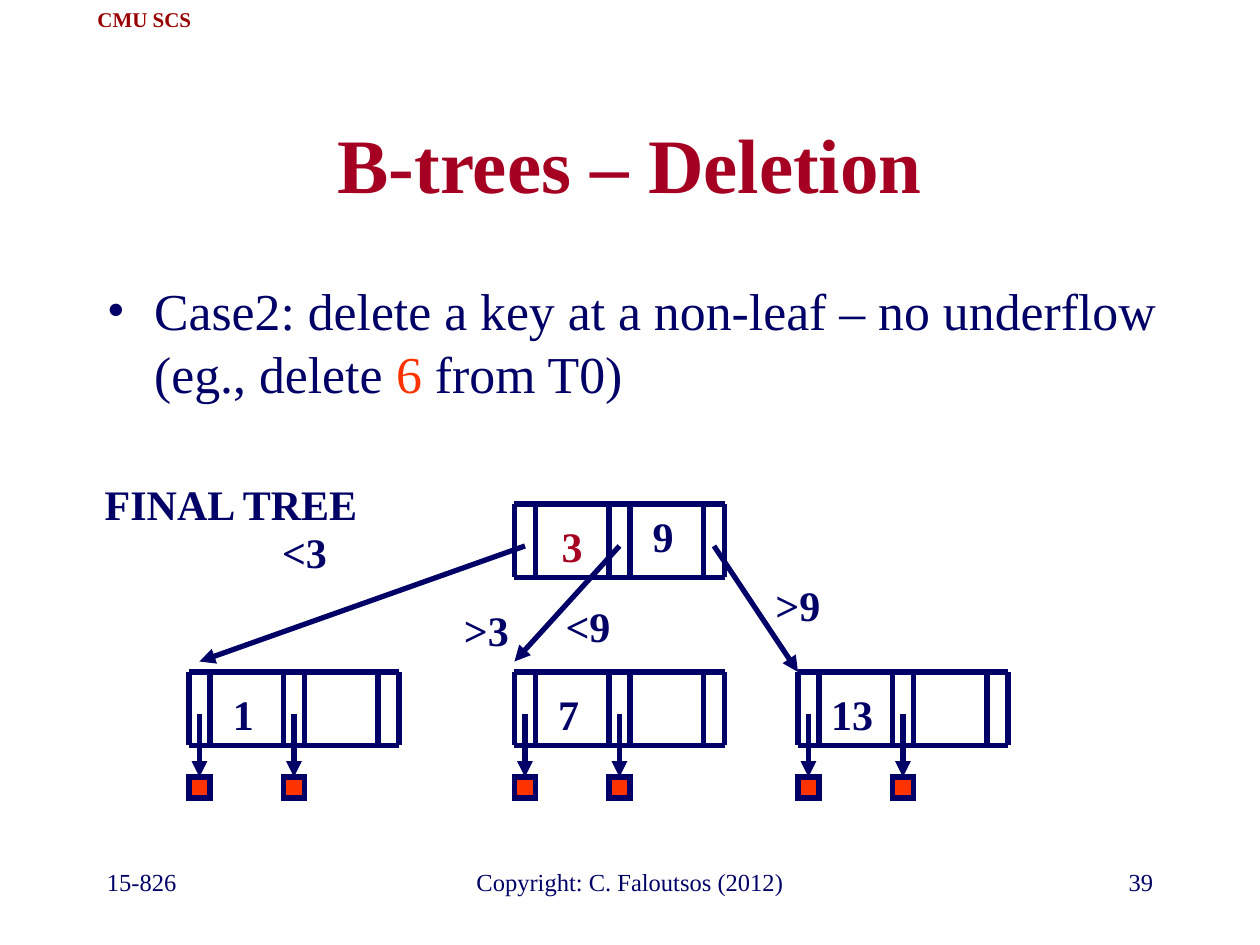
from typing import NamedTuple

from lxml.etree import SubElement
from pptx import Presentation
from pptx.dml.color import RGBColor
from pptx.enum.shapes import MSO_CONNECTOR, MSO_SHAPE
from pptx.enum.text import MSO_ANCHOR, MSO_AUTO_SIZE, PP_ALIGN
from pptx.oxml.ns import qn
from pptx.util import Pt

NAVY = RGBColor(0x00, 0x00, 0x66)
CRIMSON = RGBColor(0xA5, 0x00, 0x21)
MAROON = RGBColor(0x99, 0x00, 0x00)
ORANGE = RGBColor(0xFF, 0x33, 0x00)
FONT = "Times New Roman"

POINTER_W = 12
KEY_W = 42
PITCH = POINTER_W + KEY_W
NODE_W = 2 * PITCH + POINTER_W
NODE_H = 42
LINE_W = 3


class Label(NamedTuple):
    text: str
    left: float
    top: float
    width: float
    height: float = 36
    size: float = 24
    color: RGBColor = NAVY
    bold: bool = True
    align: PP_ALIGN = PP_ALIGN.CENTER
    anchor: MSO_ANCHOR = MSO_ANCHOR.TOP
    wrap: bool = False


class Node(NamedTuple):
    left: float
    top: float


class Branch(NamedTuple):
    x1: float
    y1: float
    x2: float
    y2: float


ROOT = Node(294, 288)
LEAVES = [Node(left, 384) for left in (108, 294, 456)]
BRANCHES = [
    Branch(300, 312, 114, 378),
    Branch(354, 312, 294, 378),
    Branch(408, 312, 456, 384),
]
TREE_LABELS = [
    Label("1", 125, 390, 28),
    Label("7", 311, 390, 28),
    Label("9", 365, 288, 28),
    Label("13", 466, 390, 42),
    Label("<3", 153, 297.5, 42),
    Label(">3", 257, 342, 42),
    Label("<9", 315, 339.5, 42),
    Label(">9", 435, 327.5, 42),
    Label("3", 312, 294, 30, color=CRIMSON),
    Label("FINAL TREE", 42, 270, 180, wrap=True),
]
PAGE_LABELS = [
    Label("CMU SCS", 47.5, 0, 70, 22, 12, MAROON, anchor=MSO_ANCHOR.MIDDLE),
    Label("15-826", 54, 492, 150, size=14, bold=False, align=PP_ALIGN.LEFT, wrap=True),
    Label("Copyright: C. Faloutsos (2012)", 246, 492, 228, size=14, bold=False, wrap=True),
    Label("39", 516, 492, 150, size=14, bold=False, align=PP_ALIGN.RIGHT, wrap=True),
]


def style_font(font, size: float, color: RGBColor, bold: bool) -> None:
    font.name = FONT
    font.size = Pt(size)
    font.bold = bold
    font.color.rgb = color


def fill_text(sp, label: Label) -> None:
    sp.left, sp.top = Pt(label.left), Pt(label.top)
    sp.width, sp.height = Pt(label.width), Pt(label.height)
    tf = sp.text_frame
    tf.text = label.text
    tf.word_wrap = label.wrap
    if not label.wrap:
        tf.auto_size = MSO_AUTO_SIZE.SHAPE_TO_FIT_TEXT
    tf.vertical_anchor = label.anchor
    p = tf.paragraphs[0]
    p.alignment = label.align
    style_font(p.runs[0].font, label.size, label.color, label.bold)


def add_label(shapes, label: Label) -> None:
    fill_text(shapes.add_textbox(0, 0, Pt(label.width), Pt(label.height)), label)


def add_line(shapes, x1: float, y1: float, x2: float, y2: float, arrow: bool = False) -> None:
    line = shapes.add_connector(MSO_CONNECTOR.STRAIGHT, Pt(x1), Pt(y1), Pt(x2), Pt(y2))
    line.line.color.rgb = NAVY
    line.line.width = Pt(LINE_W)
    if arrow:
        SubElement(line.line._get_or_add_ln(), qn("a:tailEnd"), type="triangle")
    SubElement(line._element.spPr, qn("a:effectLst"))


def add_node(shapes, node: Node) -> None:
    group = shapes.add_group_shape().shapes
    right, bottom = node.left + NODE_W, node.top + NODE_H
    for i in range(3):
        for x in (node.left + i * PITCH, node.left + i * PITCH + POINTER_W):
            add_line(group, x, node.top, x, bottom)
    for y in (node.top, bottom):
        add_line(group, node.left, y, right, y)


def add_records(shapes, node: Node) -> None:
    record_top = node.top + 60
    for left in (node.left, node.left + PITCH):
        x = left + POINTER_W / 2
        add_line(shapes, x, node.top + 24, x, record_top, arrow=True)
        sp = shapes.add_shape(
            MSO_SHAPE.RECTANGLE, Pt(left), Pt(record_top), Pt(POINTER_W), Pt(POINTER_W)
        )
        sp.shadow.inherit = False
        sp.fill.solid()
        sp.fill.fore_color.rgb = ORANGE
        sp.line.color.rgb = NAVY
        sp.line.width = Pt(LINE_W)
        SubElement(sp.line._get_or_add_ln(), qn("a:miter"), lim="800000")


def add_case(shapes) -> None:
    tf = shapes.add_textbox(Pt(54), Pt(156), Pt(618), Pt(84)).text_frame
    tf.word_wrap = True
    p = tf.paragraphs[0]
    pPr = p._p.get_or_add_pPr()
    pPr.set("marL", str(Pt(27)))
    pPr.set("indent", str(Pt(-27)))
    color = SubElement(pPr, qn("a:buClr"))
    SubElement(color, qn("a:srgbClr"), val=str(NAVY))
    SubElement(pPr, qn("a:buFont"), typeface=FONT)
    SubElement(pPr, qn("a:buChar"), char="•")
    for text, color in (
        ("Case2: delete a key at a non-leaf – no underflow (eg., delete ", NAVY),
        ("6", ORANGE),
        (" from T0)", NAVY),
    ):
        r = p.add_run()
        r.text = text
        style_font(r.font, 29.6, color, False)


def main() -> None:
    prs = Presentation()
    prs.slide_width, prs.slide_height = Pt(720), Pt(540)
    s = prs.slides.add_slide(prs.slide_layouts[5])
    shapes = s.shapes
    fill_text(
        shapes.title,
        Label("B-trees – Deletion", 54, 48, 612, 90, 44, CRIMSON,
              anchor=MSO_ANCHOR.MIDDLE, wrap=True),
    )
    add_case(shapes)
    add_node(shapes, ROOT)
    for leaf in LEAVES:
        add_node(shapes, leaf)
        add_records(shapes, leaf)
    for branch in BRANCHES:
        add_line(shapes, *branch, arrow=True)
    for label in PAGE_LABELS + TREE_LABELS:
        add_label(shapes, label)
    prs.save("out.pptx")


if __name__ == "__main__":
    main()
